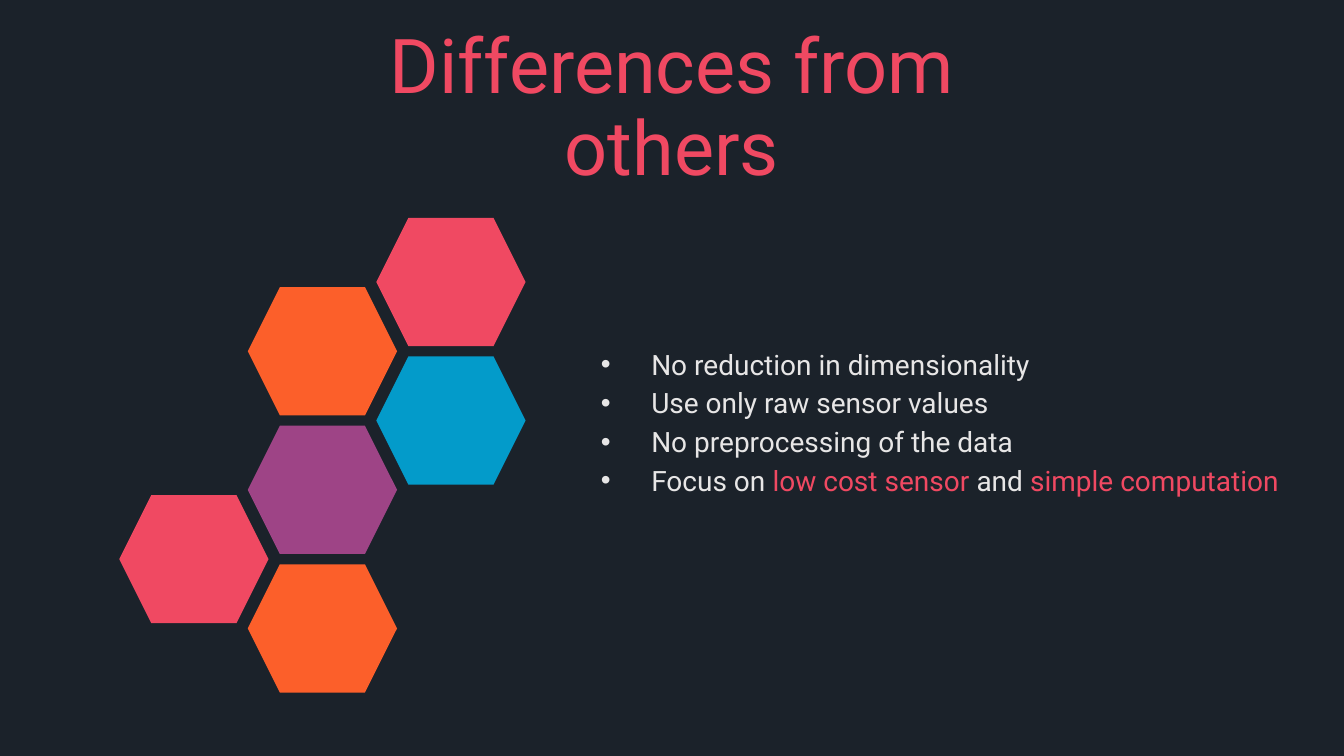
from lxml import etree
from pptx import Presentation
from pptx.dml.color import RGBColor
from pptx.enum.shapes import MSO_SHAPE
from pptx.enum.text import MSO_ANCHOR, MSO_AUTO_SIZE, PP_ALIGN
from pptx.oxml.ns import qn
from pptx.util import Pt

HEXAGON = MSO_SHAPE.HEXAGON
TOP, MIDDLE = MSO_ANCHOR.TOP, MSO_ANCHOR.MIDDLE
NO_FIT, GROW = MSO_AUTO_SIZE.NONE, MSO_AUTO_SIZE.SHAPE_TO_FIT_TEXT
LEFT, CENTER = PP_ALIGN.LEFT, PP_ALIGN.CENTER

NIGHT, PALE = "1B222A", "E7E6E6"
ROSE, ORANGE, BLUE, PURPLE = "F04962", "FC5F2A", "039BCA", "9E4486"

HONEYCOMB = [
    (1, 3, PURPLE),
    (0, 4, ROSE),
    (1, 1, ORANGE),
    (1, 5, ORANGE),
    (2, 2, BLUE),
    (2, 0, ROSE),
]
DIFFERENCES = [
    [("No reduction in dimensionality", PALE)],
    [("Use only raw sensor values", PALE)],
    [("No preprocessing of the data", PALE)],
    [
        ("Focus on ", PALE),
        ("low cost sensor ", ROSE),
        ("and ", PALE),
        ("simple computation", ROSE),
    ],
]


def colour(value):
    """Turn a hex string into a colour."""
    return RGBColor.from_string(value)


def apply(target, values):
    """Set each named attribute on the target."""
    for name, value in values.items():
        setattr(target, name, value)


class SlideBuilder:
    """Hold the style and the current slide, and draw its elements."""

    font_name = "Roboto"
    line_spacing = 0.9
    bullet_indent = Pt(36)

    def __init__(self, deck, background):
        """Add a slide with a plain background."""
        self.page = deck.slides.add_slide(deck.slide_layouts[1])
        fill = self.page.background.fill
        fill.solid()
        fill.fore_color.rgb = colour(background)

    def place(self, box, left, top, width, height, **frame_format):
        """Move a placeholder and format its text frame."""
        apply(box, {"left": Pt(left), "top": Pt(top),
                    "width": Pt(width), "height": Pt(height)})
        apply(box.text_frame, {"word_wrap": True, **frame_format})
        return box.text_frame

    def add_spans(self, para, spans, size, **para_format):
        """Add coloured spans to a paragraph."""
        apply(para, {"line_spacing": self.line_spacing, **para_format})
        for text, text_colour in spans:
            span = para.add_run()
            span.text = text
            apply(span.font, {"name": self.font_name, "size": Pt(size), "bold": False})
            span.font.color.rgb = colour(text_colour)

    def title(self, text, text_colour, size, *bounds):
        """Fill the title placeholder."""
        frame = self.place(self.page.shapes.title, *bounds,
                           vertical_anchor=MIDDLE, auto_size=GROW)
        self.add_spans(frame.paragraphs[0], [(text, text_colour)], size, alignment=CENTER)

    def bullets(self, items, size, *bounds):
        """Fill the body placeholder with a bulleted list."""
        frame = self.place(self.page.placeholders[1], *bounds,
                           vertical_anchor=TOP, auto_size=NO_FIT)
        for index, spans in enumerate(items):
            para = frame.add_paragraph() if index else frame.paragraphs[0]
            properties = para._p.get_or_add_pPr()
            properties.set("marL", str(self.bullet_indent))
            properties.set("indent", str(-self.bullet_indent))
            etree.SubElement(properties, qn("a:buFont"), typeface="Arial")
            etree.SubElement(properties, qn("a:buChar"), char="•")
            self.add_spans(para, spans, size, alignment=LEFT,
                           space_before=Pt(6 if index else 0))

    def hexagon(self, left, top, width, height, fill_colour):
        """Draw a filled hexagon without an outline."""
        cell = self.page.shapes.add_shape(HEXAGON, Pt(left), Pt(top), Pt(width), Pt(height))
        cell.shadow.inherit = False
        cell.fill.solid()
        cell.fill.fore_color.rgb = colour(fill_colour)
        cell.line.fill.background()

    def honeycomb(self, cells, left, top, column_step, row_step):
        """Place hexagons on a grid of columns and half rows."""
        for column, row, fill_colour in cells:
            self.hexagon(left + column * column_step, top + row * row_step,
                         106.6, 91.6, fill_colour)


def main():
    """Build and save the slide."""
    deck = Presentation()
    apply(deck, {"slide_width": Pt(960), "slide_height": Pt(540)})
    builder = SlideBuilder(deck, NIGHT)
    builder.honeycomb(HONEYCOMB, 85.2, 155.6, 91.8, 49.5)
    builder.title("Differences from others", ROSE, 54, 189.36, 45.36, 581.04, 66.24)
    builder.bullets(DIFFERENCES, 20, 422, 247, 509, 144)
    deck.save("out.pptx")


if __name__ == "__main__":
    main()
